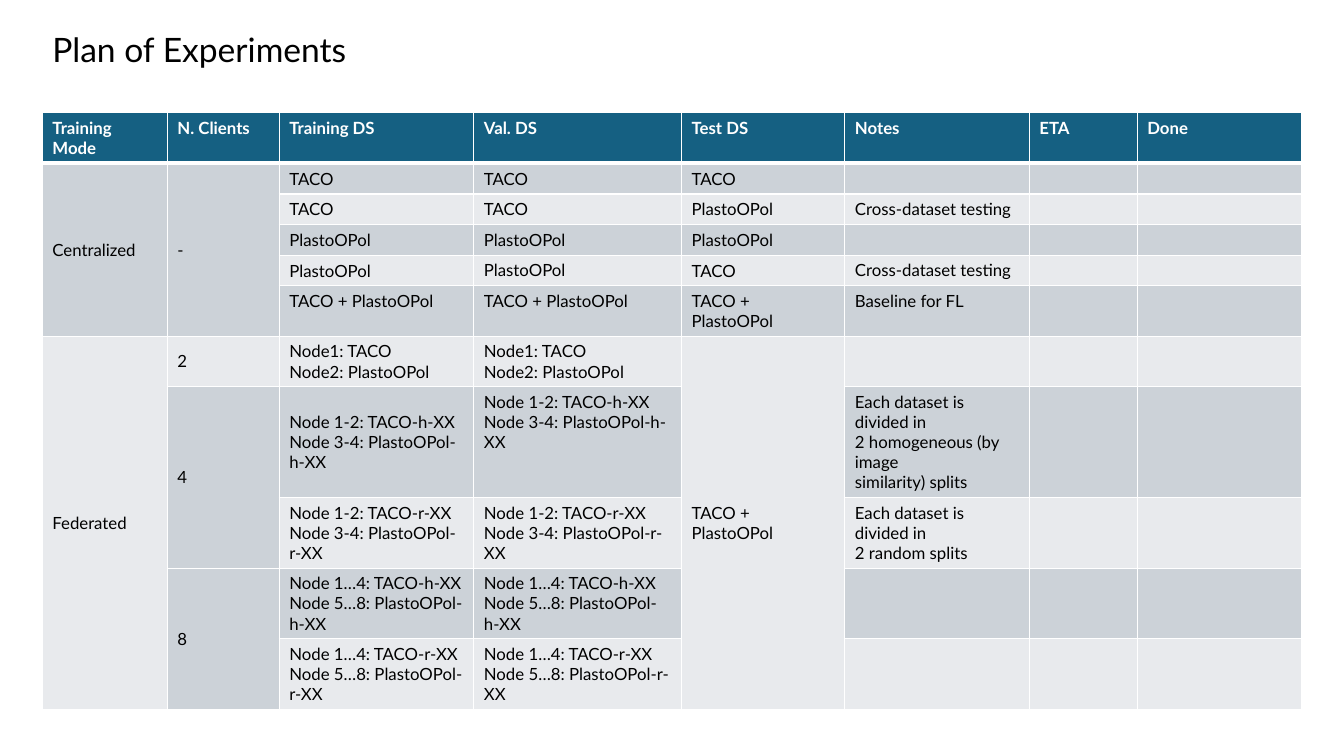
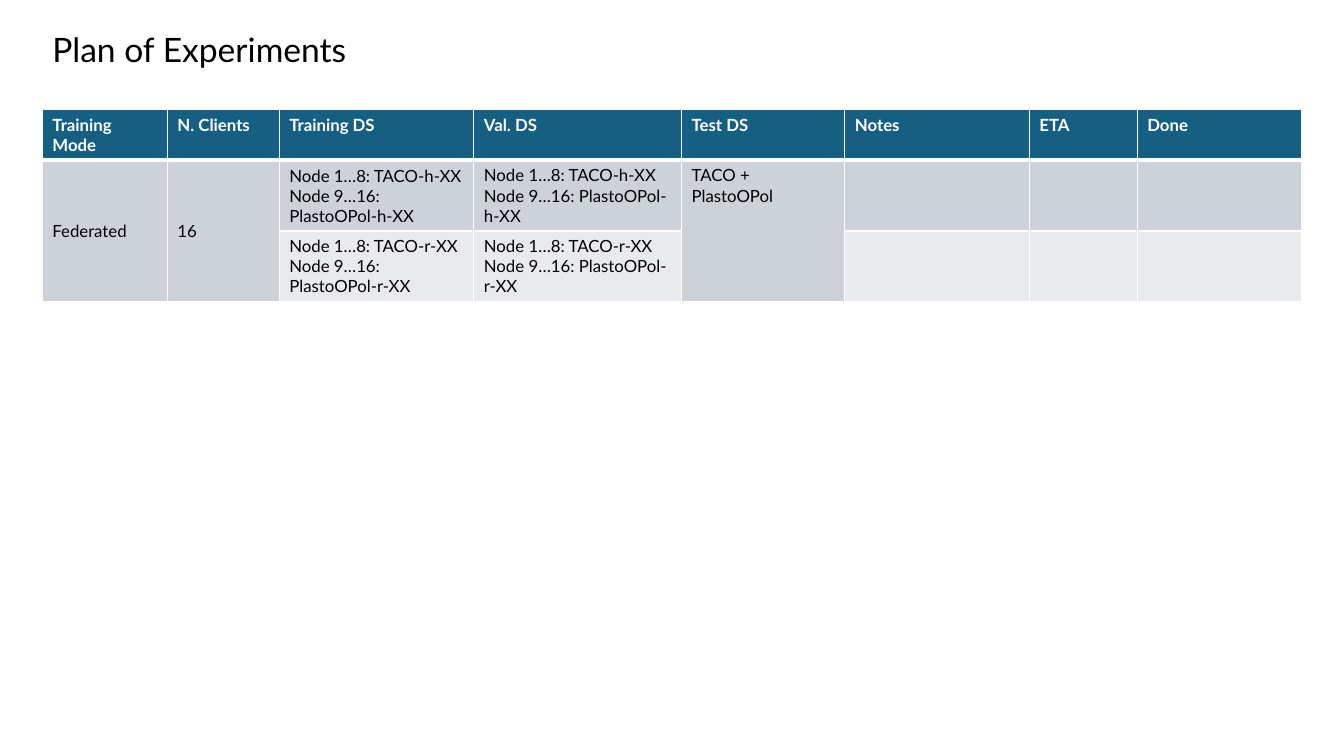
from lxml import etree
from pptx import Presentation
from pptx.dml.color import RGBColor
from pptx.enum.text import MSO_ANCHOR, MSO_AUTO_SIZE
from pptx.oxml.ns import qn
from pptx.util import Inches, Pt

MIDDLE, TOP = MSO_ANCHOR.MIDDLE, MSO_ANCHOR.TOP
GROW = MSO_AUTO_SIZE.SHAPE_TO_FIT_TEXT

WHITE = RGBColor(0xFF, 0xFF, 0xFF)
BLACK = RGBColor(0, 0, 0)
HEADER_BLUE = RGBColor(0x15, 0x60, 0x82)
BANDS = [RGBColor(0xE8, 0xEA, 0xED), RGBColor(0xCC, 0xD2, 0xD8)]
FONT = "Lato"

HEADINGS = ["Training Mode", "N. Clients", "Training DS", "Val. DS",
            "Test DS", "Notes", "ETA", "Done"]
COLUMN_WIDTHS = [1.24, 1.11, 1.93, 2.06, 1.62, 1.83, 1.07, 1.63]
BOTH = "TACO + PlastoOPol"
BASELINE = "Baseline for FL"
CROSS = "Cross-dataset testing"

# Each experiment: height, mode, clients, training and validation data, test data, notes
FIRST_PLAN = [
    (0.3, "Centralized", "-", "TACO", "TACO", ""),
    (0.3, None, None, "TACO", "PlastoOPol", CROSS),
    (0.3, None, None, "PlastoOPol", "PlastoOPol", ""),
    (0.3, None, None, "PlastoOPol", "TACO", CROSS),
    (0.5, None, None, BOTH, BOTH, BASELINE),
    (0.5, "Federated", "2", "Node1: TACO\nNode2: PlastoOPol", BOTH, ""),
    (1.1, None, "4", "Node 1-2: TACO-h-XX\nNode 3-4: PlastoOPol-h-XX", None,
     "Each dataset is divided in\n2 homogeneous (by image\nsimilarity) splits"),
    (0.7, None, None, "Node 1-2: TACO-r-XX\nNode 3-4: PlastoOPol-r-XX", None,
     "Each dataset is divided in\n2 random splits"),
    (0.7, None, "8", "Node 1…4: TACO-h-XX\nNode 5…8: PlastoOPol-h-XX", None, ""),
    (0.7, None, None, "Node 1…4: TACO-r-XX\nNode 5…8: PlastoOPol-r-XX", None, ""),
]
SECOND_PLAN = [
    (0.7, "Federated", "16", "Node 1…8: TACO-h-XX\nNode 9…16: PlastoOPol-h-XX", BOTH, ""),
    (0.7, None, None, "Node 1…8: TACO-r-XX\nNode 9…16: PlastoOPol-r-XX", None, ""),
]


def add_text(frame, text, size, color, bold=False):
    for index, line in enumerate(text.split("\n")):
        paragraph = frame.paragraphs[0] if index == 0 else frame.add_paragraph()
        if not line:
            etree.SubElement(paragraph._p, qn("a:endParaRPr"), sz=str(size * 100))
            continue
        run = paragraph.add_run()
        run.text = line
        run.font.name = FONT
        run.font.size = Pt(size)
        run.font.bold = bold
        run.font.color.rgb = color


def style_cell(cell, fill, top_width, bottom_width):
    properties = cell._tc.get_or_add_tcPr()
    for side, width in (("L", 1), ("R", 1), ("T", top_width), ("B", bottom_width)):
        border = etree.SubElement(properties, qn("a:ln" + side), w=str(Pt(width)))
        solid = etree.SubElement(border, qn("a:solidFill"))
        etree.SubElement(solid, qn("a:srgbClr"), val=str(WHITE))
    cell.fill.solid()
    cell.fill.fore_color.rgb = fill


deck = Presentation()
deck.slide_width = Inches(13.33)
deck.slide_height = Inches(7.5)

for plan, table_top, centered_columns in (
    (FIRST_PLAN, 1.12, (0, 1, 2, 4)),
    (SECOND_PLAN, 1.09, (0, 1, 2)),
):
    slide = deck.slides.add_slide(deck.slide_layouts[6])
    heights = [0.5] + [experiment[0] for experiment in plan]
    rows = [HEADINGS] + [
        [mode, clients, data, data, test, notes, "", ""]
        for _, mode, clients, data, test, notes in plan
    ]
    table = slide.shapes.add_table(
        len(rows), len(HEADINGS), Inches(0.42), Inches(table_top),
        Inches(sum(COLUMN_WIDTHS)), Inches(sum(heights))).table
    for column, width in zip(table.columns, COLUMN_WIDTHS):
        column.width = Inches(width)
    for row, height in zip(table.rows, heights):
        row.height = Inches(height)

    for r, row in enumerate(rows):
        is_header = r == 0
        for c, text in enumerate(row):
            cell = table.cell(r, c)
            style_cell(cell, HEADER_BLUE if is_header else BANDS[r % 2],
                       3 if r == 1 else 1, 3 if is_header else 1)
            add_text(cell.text_frame, text or "", 12,
                     WHITE if is_header else BLACK, is_header)
            centered = c in centered_columns and not is_header and BASELINE not in row
            cell.vertical_anchor = MIDDLE if centered else TOP
            last = r
            while text is not None and last + 1 < len(rows) and rows[last + 1][c] is None:
                last += 1
            if last > r:
                cell.merge(table.cell(last, c))

    title = slide.shapes.add_textbox(Inches(0.42), Inches(0.24), Inches(4.52), Inches(0.5))
    title.text_frame.word_wrap = True
    title.text_frame.auto_size = GROW
    add_text(title.text_frame, "Plan of Experiments", 24, BLACK)

deck.save("out.pptx")
